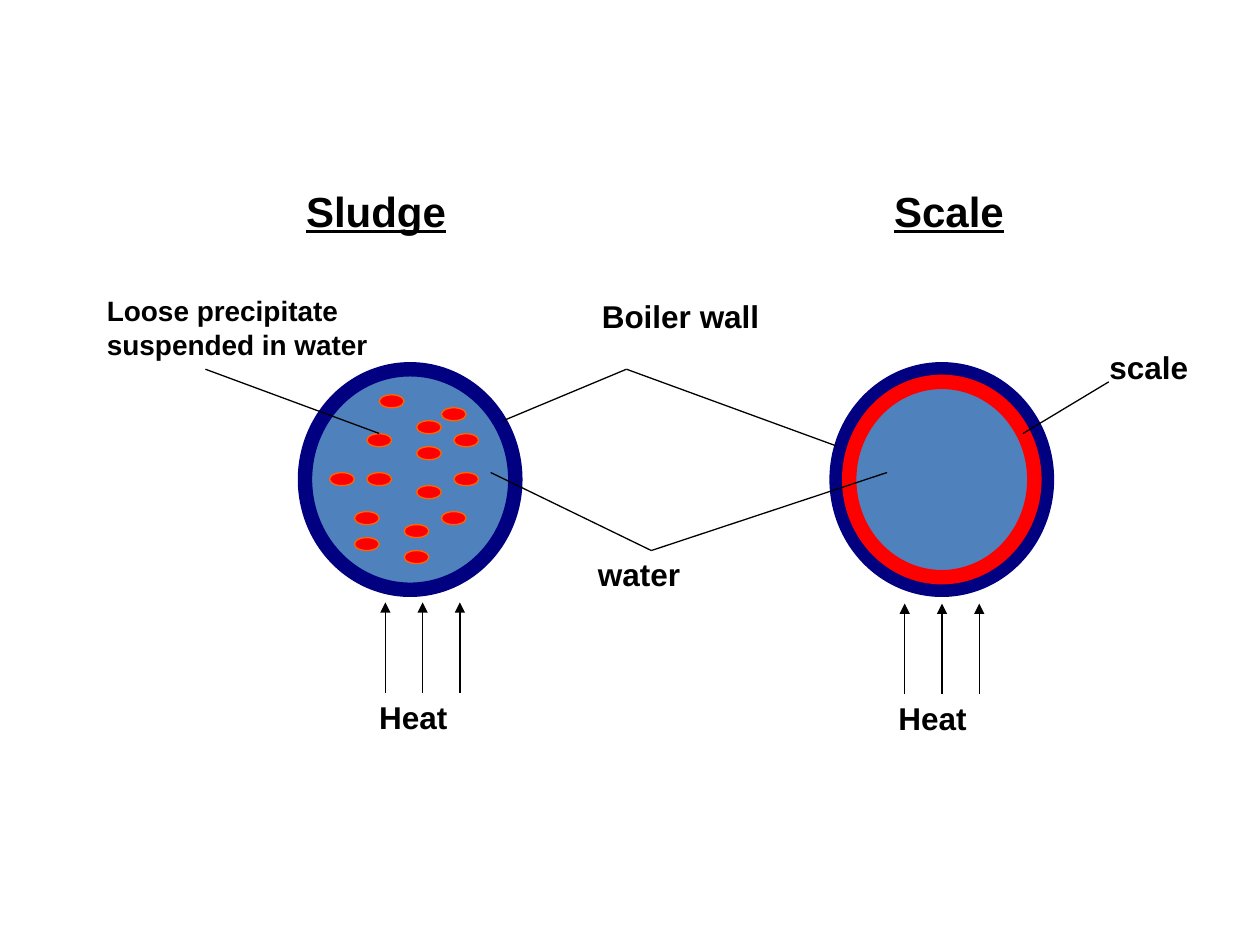
import pptx
import pptx.dml.color
import pptx.enum.shapes
import pptx.enum.text
import pptx.oxml.ns
import pptx.util
from lxml import etree

Pt = pptx.util.Pt
RGB = pptx.dml.color.RGBColor.from_string
SHAPE = pptx.enum.shapes.MSO_SHAPE

THEME = {
    "font": "Arial", "ink": "000000", "water": "4F81BD", "wall": "000080",
    "scale": "FF0000", "particle_edge": "FF6600",
    "heading": 24, "label": 18, "note": 16, "thin": 0.75, "thick": 8.25,
}

prs = pptx.Presentation()
prs.slide_width, prs.slide_height = Pt(720), Pt(540)
s = prs.slides.add_slide(prs.slide_layouts[6])


def add_text(text, x, y, w, h, size=THEME["label"], underline=None, wrap=False):
    sp = s.shapes.add_textbox(Pt(x), Pt(y), Pt(w), Pt(h))
    tf = sp.text_frame
    tf.word_wrap = wrap
    tf.auto_size = pptx.enum.text.MSO_AUTO_SIZE.SHAPE_TO_FIT_TEXT
    r = tf.paragraphs[0].add_run()
    r.text = text
    r.font.name, r.font.size = THEME["font"], Pt(size)
    r.font.bold, r.font.underline = True, underline
    r.font.color.rgb = RGB(THEME["ink"])


def add_line(x1, y1, x2, y2, arrow=False):
    cx = s.shapes.add_connector(pptx.enum.shapes.MSO_CONNECTOR.STRAIGHT,
                                Pt(x1), Pt(y1), Pt(x2), Pt(y2))
    cx.line.color.rgb, cx.line.width = RGB(THEME["ink"]), Pt(THEME["thin"])
    if arrow:
        ln = cx.line._get_or_add_ln()
        etree.SubElement(ln, pptx.oxml.ns.qn("a:tailEnd"), type="triangle")
    etree.SubElement(cx._element.spPr, pptx.oxml.ns.qn("a:effectLst"))


# Two boiler sections, the right one with a scale ring, and the particles
PIPE_W, PIPE_H, PIPE_Y = 120.2, 126, 211
SLUDGE_X, SCALE_X, RING = 174.3, 478.1, 7.2
ovals = [
    (SHAPE.OVAL, SLUDGE_X, PIPE_Y, PIPE_W, PIPE_H, "water", "wall", "thick"),
    (SHAPE.OVAL, SCALE_X, PIPE_Y, PIPE_W, PIPE_H, "water", "wall", "thick"),
    (SHAPE.OVAL, SCALE_X + RING, PIPE_Y + RING, PIPE_W - 2 * RING,
     PIPE_H - 2 * RING, "water", "scale", "thick"),
]

# Particles sit on a fine grid: (column, row)
COL, ROW = 7.1, 7.42
particles = [(2, 11), (6, 10), (7, 7), (3, 6), (7, 4), (10, 6), (9, 9), (3, 3),
             (7, 2), (10, 3), (0, 6), (4, 0), (9, 1), (6, 12), (2, 9)]
ovals += [(SHAPE.FLOWCHART_CONNECTOR, 188.3 + col * COL, 225.6 + row * ROW,
           2 * COL, ROW, "scale", "particle_edge", "thin")
          for col, row in particles]

for kind, x, y, w, h, fill, edge, width in ovals:
    sp = s.shapes.add_shape(kind, Pt(x), Pt(y), Pt(w), Pt(h))
    sp.shadow.inherit = False
    sp.fill.solid()
    sp.fill.fore_color.rgb = RGB(THEME[fill])
    sp.line.color.rgb, sp.line.width = RGB(THEME[edge]), Pt(THEME[width])

# Leader lines
for ends in [
    (117.4, 211, 216.7, 247.7),   # precipitate
    (372.2, 314.6, 280.4, 270),   # water, left
    (372.2, 314.6, 506.9, 270),   # water, right
    (287.3, 240.5, 358, 211),     # wall, left
    (358, 211, 478.1, 254.9),     # wall, right
    (584.6, 247.7, 633.6, 218.2), # scale
]:
    add_line(*ends)

# Heat arrows with their labels
for x, y in [(220.2, 396), (517, 396.7)]:
    for i in range(3):
        add_line(x + i * 21.3, y, x + i * 21.3, y - 51.8, arrow=True)
    add_text("Heat", x - 10.7, y - 0.7, 62, 36)

# Labels
add_text("Loose precipitate suspended in water", 54, 164.2, 193.7, 57,
         size=THEME["note"], wrap=True)
add_text("water", 334.6, 313.9, 71.3, 36)
add_text("Boiler wall", 336.8, 166.3, 121.7, 36)
add_text("scale", 626.9, 195.1, 69.1, 36)

# Headings
for text, x, w in [("Sludge", 167.8, 95), ("Scale", 503.8, 77.8)]:
    add_text(text, x, 102.2, w, 36.7, size=THEME["heading"], underline=True)

prs.save("out.pptx")
